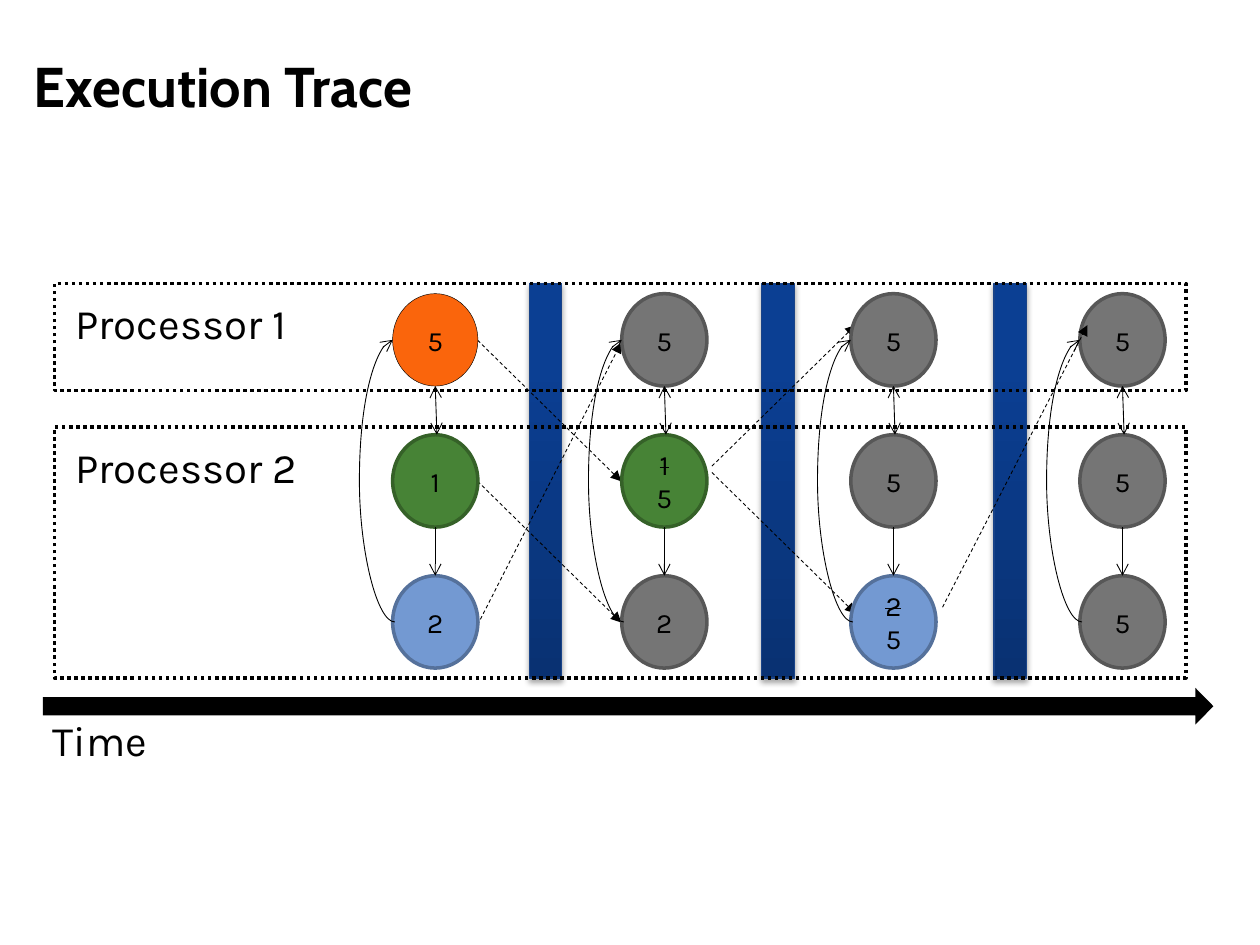
"""Build the execution trace slide."""
from lxml import etree
from pptx import Presentation
from pptx import util as u
from pptx.dml.color import RGBColor
from pptx.enum import dml, shapes, text
from pptx.oxml import ns

BLACK = RGBColor(0x00, 0x00, 0x00)
ORANGE = RGBColor(0xFA, 0x65, 0x0C)
GREY, SLATE = RGBColor(0x75, 0x75, 0x75), RGBColor(0x57, 0x57, 0x57)
GREEN, MOSS = RGBColor(0x47, 0x83, 0x36), RGBColor(0x35, 0x61, 0x28)
BLUE, STEEL = RGBColor(0x73, 0x99, 0xD2), RGBColor(0x55, 0x71, 0x9B)
NAVY, ROYAL = RGBColor(0x09, 0x31, 0x72), RGBColor(0x0B, 0x3F, 0x93)
RIM = RGBColor(0x19, 0x43, 0x88)

LEFT, STEP = 224.4, 130.9
TOP, DROP = 167.8, 80.6
WIDE, HIGH = 48.7, 52.8
DIM, LEAF, SKY = (GREY, SLATE, 2), (GREEN, MOSS, 2), (BLUE, STEEL, 2)
STATES = [
    [("5", (ORANGE, BLACK, 0.25)), ("1", LEAF), ("2", SKY)],
    [("5", DIM), ("15", LEAF), ("2", DIM)],
    [("5", DIM), ("5", DIM), ("25", SKY)],
    [("5", DIM), ("5", DIM), ("5", DIM)],
]
SENDS = [
    (272.9, 194.4, 355, 275),
    (406.8, 266.4, 488.9, 185.8),
    (272.9, 275, 355, 355.7),
    (272.9, 357.1, 355, 195.8),
    (406.8, 270, 488.9, 350.6),
]
LAST = (538.6, 347, 621.4, 185.8)


def add_xml(parent, tag, **attrs):
    """Append a DrawingML element and return it."""
    return etree.SubElement(parent, ns.qn(tag), **attrs)


def add_run(para, words, size, font="Karla", bold=False, struck=False):
    """Add one black run to a paragraph."""
    run = para.add_run()
    run.text = words
    run.font.size, run.font.name, run.font.bold = u.Pt(size), font, bold
    run.font.color.rgb = BLACK
    if struck:
        run._r.get_or_add_rPr().set("strike", "sngStrike")


def set_frame(frame, anchor):
    """Wrap the text and set its insets and anchor."""
    frame.word_wrap, frame.vertical_anchor = True, anchor
    frame.margin_left = frame.margin_right = u.Pt(5.76)
    frame.margin_top = frame.margin_bottom = u.Pt(2.88)


def add_title(slide, words):
    """Place and fill the title."""
    title = slide.shapes.title
    title.left, title.top = u.Pt(12.2), u.Pt(8.6)
    title.width, title.height = u.Pt(684), u.Pt(80.6)
    frame = title.text_frame
    frame.auto_size = text.MSO_AUTO_SIZE.NONE
    frame.vertical_anchor = text.MSO_ANCHOR.MIDDLE
    para = frame.paragraphs[0]
    para.alignment = text.PP_ALIGN.LEFT
    add_run(para, words, 32, "Cabin", True)


def add_form(slide, kind, x, y, w, h):
    """Add a preset shape without its default shadow."""
    form = slide.shapes.add_shape(kind, u.Pt(x), u.Pt(y), u.Pt(w), u.Pt(h))
    form.shadow.inherit = False
    return form


def set_line(form, colour, width):
    """Set the outline of a shape."""
    form.line.color.rgb, form.line.width = colour, u.Pt(width)


def add_bar(slide, x):
    """Add a barrier between two supersteps."""
    bar = add_form(slide, shapes.MSO_SHAPE.RECTANGLE, x, 162, 18.7, 225.4)
    bar.fill.gradient()
    bar.fill.gradient_angle = 90
    for stop, colour, place in zip(bar.fill.gradient_stops, (NAVY, ROYAL), (0, 0.8)):
        stop.color.rgb, stop.position = colour, place
    set_line(bar, RIM, 0.75)
    effect = bar._element.spPr.find(ns.qn("a:effectLst"))
    shade = add_xml(effect, "a:outerShdw", blurRad=str(u.Pt(3.1)), dist=str(u.Pt(1.8)),
                    dir="5400000", rotWithShape="0")
    tone = add_xml(shade, "a:srgbClr", val=str(BLACK))
    add_xml(tone, "a:alpha", val="35000")


def add_link(slide, ends, tail="arrow", head=None, dash=False, curve=False):
    """Add a thin arrow, straight or curved, and return it."""
    kind = shapes.MSO_CONNECTOR.CURVE if curve else shapes.MSO_CONNECTOR.STRAIGHT
    link = slide.shapes.add_connector(kind, *(u.Pt(end) for end in ends))
    set_line(link, BLACK, 0.5)
    if dash:
        link.line.dash_style = dml.MSO_LINE.DASH
    edge = link.line._get_or_add_ln()
    if head:
        add_xml(edge, "a:headEnd", type=head)
    add_xml(edge, "a:tailEnd", type=tail)
    add_xml(link._element.spPr, "a:effectLst")
    return link


def add_loop(slide, x, low, high):
    """Add the curve that runs from the bottom node back to the top one."""
    span, bulge = 1.2, 20.4
    link = add_link(slide, (x, high, x + span, low), curve=True)
    shape = link._element.spPr
    shape.find(ns.qn("a:xfrm")).set("rot", "10800000")
    geom = shape.find(ns.qn("a:prstGeom"))
    guides = geom.find(ns.qn("a:avLst"))
    if guides is None:
        guides = add_xml(geom, "a:avLst")
    add_xml(guides, "a:gd", name="adj1", fmla=f"val {round(bulge / span * 100000)}")


def add_node(slide, x, y, marks, look):
    """Add a vertex, striking out every value but the newest."""
    fill, edge, width = look
    node = add_form(slide, shapes.MSO_SHAPE.OVAL, x, y, WIDE, HIGH)
    node.fill.solid()
    node.fill.fore_color.rgb = fill
    set_line(node, edge, width)
    frame = node.text_frame
    set_frame(frame, text.MSO_ANCHOR.MIDDLE)
    for i, mark in enumerate(marks):
        para = frame.add_paragraph() if i else frame.paragraphs[0]
        para.alignment = text.PP_ALIGN.CENTER
        add_run(para, mark, 16, struck=i < len(marks) - 1)


def add_graph(slide, x, state):
    """Add one superstep: three vertices and their edges."""
    for row, (marks, look) in enumerate(state):
        add_node(slide, x, TOP + row * DROP, marks, look)
    mid, foot = x + WIDE / 2, TOP + HIGH
    add_link(slide, (mid, foot, mid + 0.9, TOP + DROP), head="arrow")
    add_link(slide, (mid, foot + DROP, mid, TOP + 2 * DROP))
    centre = TOP + HIGH / 2
    add_loop(slide, x, centre + 2 * DROP, centre)


def add_label(slide, words, x, y, w):
    """Add a large text label."""
    box = slide.shapes.add_textbox(u.Pt(x), u.Pt(y), u.Pt(w), u.Pt(35.3))
    set_frame(box.text_frame, text.MSO_ANCHOR.TOP)
    add_run(box.text_frame.paragraphs[0], words, 24)


def add_zone(slide, y, h):
    """Add the dotted frame of a processor."""
    zone = add_form(slide, shapes.MSO_SHAPE.RECTANGLE, 31, y, 646.6, h)
    zone.fill.background()
    set_line(zone, BLACK, 2)
    zone.line.dash_style = dml.MSO_LINE.ROUND_DOT


def add_axis(slide):
    """Add the time arrow."""
    axis = add_form(slide, shapes.MSO_SHAPE.RIGHT_ARROW, 24.5, 393.1, 668.9, 20.9)
    axis.adjustments[0], axis.adjustments[1] = 0.5, 0.49
    axis.fill.solid()
    axis.fill.fore_color.rgb = BLACK
    axis.line.fill.background()


def main():
    """Build and save the slide."""
    deck = Presentation()
    deck.slide_width, deck.slide_height = u.Pt(720), u.Pt(540)
    slide = deck.slides.add_slide(deck.slide_layouts[5])
    add_title(slide, "Execution Trace")
    for i in range(3):
        add_bar(slide, 302.4 + i * 132.8)
    for ends in SENDS:
        add_link(slide, ends, "triangle", dash=True)
    for i, state in enumerate(STATES):
        add_graph(slide, LEFT + i * STEP, state)
    add_link(slide, LAST, "triangle", dash=True)
    add_label(slide, "Processor 1", 37.4, 167, 160.6)
    add_label(slide, "Processor 2", 37.4, 249.1, 160.6)
    add_zone(slide, 162, 61.2)
    add_zone(slide, 244.1, 143.3)
    add_axis(slide)
    add_label(slide, "Time", 24.5, 405.4, 180.7)
    deck.save("out.pptx")


if __name__ == "__main__":
    main()
